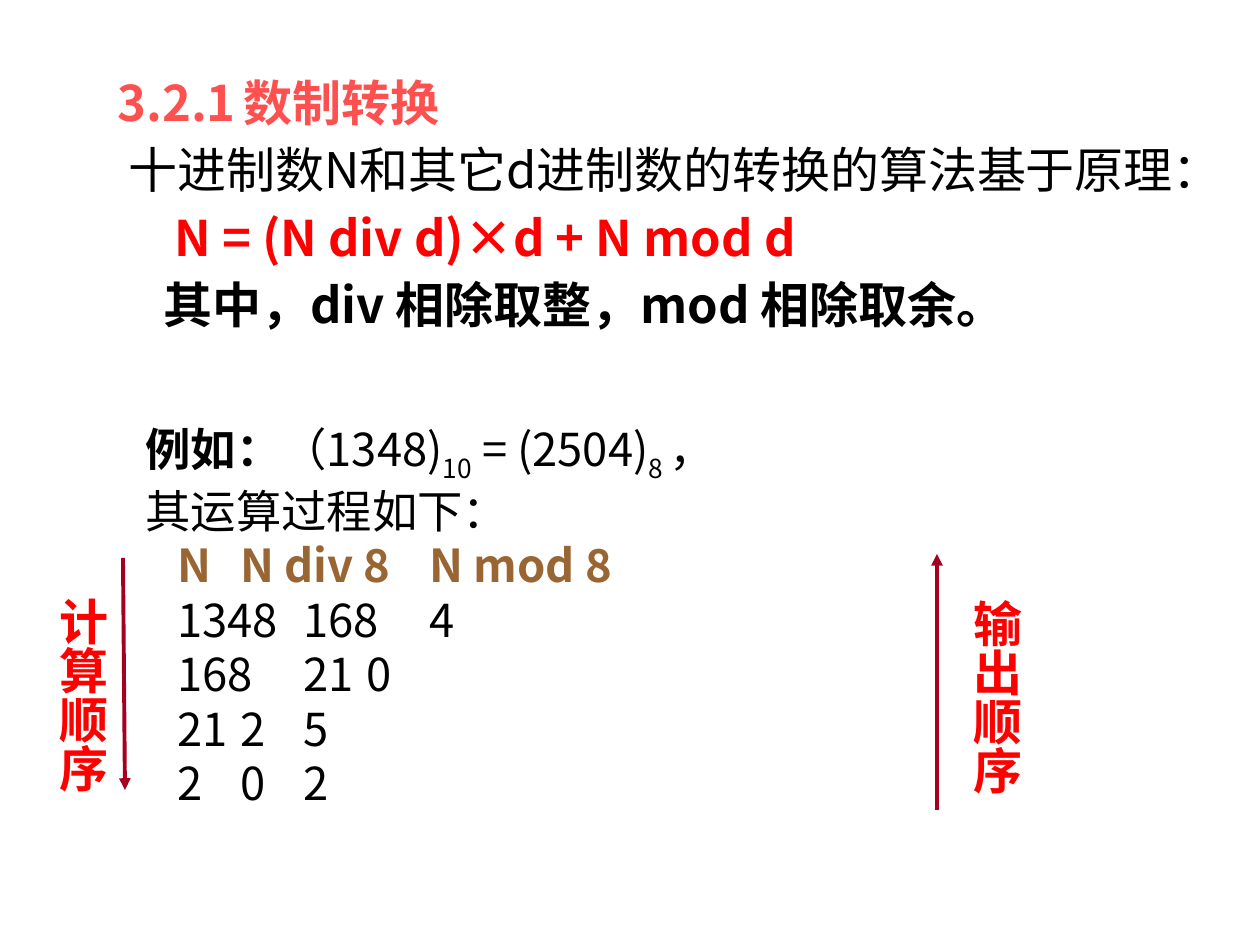
from pptx import Presentation
from pptx.dml.color import RGBColor
from pptx.enum.shapes import MSO_CONNECTOR
from pptx.enum.text import MSO_ANCHOR, MSO_AUTO_SIZE
from pptx.oxml.ns import qn
from pptx.util import Emu, Pt
from lxml import etree

STRAIGHT = MSO_CONNECTOR.STRAIGHT
TOP, MIDDLE, BOTTOM = MSO_ANCHOR.TOP, MSO_ANCHOR.MIDDLE, MSO_ANCHOR.BOTTOM
SHAPE_TO_FIT = MSO_AUTO_SIZE.SHAPE_TO_FIT_TEXT

PX_PER_INCH = 126
FONT = "Noto Sans CJK SC"
BLACK, RED, CORAL, BROWN, CRIMSON = "000000", "FF0000", "FF5050", "996633", "A50021"
HEADING_SIZE, EXAMPLE_SIZE = 28, 25.9

# Each row: cell texts and the tab stop of each cell in px
DIVISION_HEADER = (("N", "N div 8", "N mod 8"), (113, 198, 389))
DIVISION_ROWS = [
    (("1348", "168", "4"), (91, 243, 428)),
    (("168", "21", "0"), (91, 237, 419)),
    (("21", "2", "5"), (91, 232, 409)),
    (("2", "0", "2"), (91, 227, 404)),
]


def px(value):
    return Emu(round(value * 914400 / PX_PER_INCH))


def color(value):
    return RGBColor.from_string(value)


def add_box(slide, left, top, width, height, anchor=TOP, wrap=True):
    shape = slide.shapes.add_textbox(px(left), px(top), px(width), px(height))
    frame = shape.text_frame
    frame.word_wrap = wrap
    frame.vertical_anchor = anchor
    return frame


def add_run(paragraph, text, size=HEADING_SIZE, fill=BLACK, bold=False, baseline=0):
    run = paragraph.add_run()
    run.text = text
    font = run.font
    font.size, font.bold, font.name = Pt(size), bold, FONT
    font.color.rgb = color(fill)
    properties = font._element
    if baseline:
        properties.set("baseline", str(baseline * 1000))
    properties.find(qn("a:latin")).addnext(
        etree.Element(qn("a:ea"), typeface=FONT))


def add_text(frame, text="", margin=0, indent=0, tabs=(), spacing=1.0, **style):
    """Fill the empty first paragraph of the frame, or append a new one."""
    first = frame.paragraphs[0]
    paragraph = frame.add_paragraph() if first.runs else first
    properties = paragraph._p.get_or_add_pPr()
    properties.set("marL", str(px(margin)))
    properties.set("indent", str(px(indent)))
    if tabs:
        tab_list = etree.SubElement(properties, qn("a:tabLst"))
        for stop in tabs:
            etree.SubElement(tab_list, qn("a:tab"), pos=str(px(stop)), algn="l")
    paragraph.line_spacing = spacing
    if text:
        add_run(paragraph, text, **style)
    return paragraph


def add_table_line(frame, cells, stops, **style):
    add_text(frame, "".join("\t" + cell for cell in cells), tabs=stops,
             size=EXAMPLE_SIZE, **style)


def add_arrow(slide, x1, y1, x2, y2):
    arrow = slide.shapes.add_connector(STRAIGHT, px(x1), px(y1), px(x2), px(y2))
    arrow.line.color.rgb = color(CRIMSON)
    arrow.line.width = Pt(2.25)
    etree.SubElement(arrow.line._get_or_add_ln(), qn("a:tailEnd"), type="triangle")
    etree.SubElement(arrow._element.spPr, qn("a:effectLst"))


def add_vertical_label(slide, text, left, top):
    frame = add_box(slide, left, top, 83, 209, wrap=False)
    frame.auto_size = SHAPE_TO_FIT
    frame.margin_left = frame.margin_right = Pt(3.6)
    frame.margin_top = frame.margin_bottom = Pt(7.2)
    frame._txBody.bodyPr.set("vert", "eaVert")
    add_text(frame, text, fill=RED, bold=True)


def add_principle(slide):
    frame = add_box(slide, 105, 55, 1101, 287, anchor=MIDDLE)
    add_text(frame, "3.2.1\t数制转换", tabs=(153,), spacing=1.15,
             fill=CORAL, bold=True)
    add_text(frame, "十进制数N和其它d进制数的转换的算法基于原理：",
             indent=11, spacing=1.15)
    add_text(frame, "N = (N div d)×d + N mod d", margin=57, spacing=1.15,
             fill=RED, bold=True)
    add_text(frame, "其中，div 相除取整，mod 相除取余。", margin=46, spacing=1.15,
             bold=True)


def add_example(slide):
    frame = add_box(slide, 102, 360, 1082, 456, anchor=BOTTOM)
    equation = add_text(frame, "例如：", margin=31, size=EXAMPLE_SIZE, bold=True)
    for text, baseline in (("（1348)", 0), ("10", -25), (" = (2504)", 0),
                           ("8 ", -25), ("，", 0)):
        add_run(equation, text, size=EXAMPLE_SIZE, baseline=baseline)
    add_text(frame, "其运算过程如下：", margin=31, size=EXAMPLE_SIZE)
    add_table_line(frame, *DIVISION_HEADER, fill=BROWN, bold=True)
    for cells, stops in DIVISION_ROWS:
        add_table_line(frame, cells, stops)


def main():
    presentation = Presentation()
    presentation.slide_width, presentation.slide_height = px(1260), px(945)
    slide = presentation.slides.add_slide(presentation.slide_layouts[6])
    add_principle(slide)
    add_example(slide)
    add_arrow(slide, 123, 558, 125, 790)
    add_arrow(slide, 937, 810, 937, 554)
    add_vertical_label(slide, "计算顺序", 35, 585)
    add_vertical_label(slide, "输出顺序", 949, 587)
    presentation.save("out.pptx")


if __name__ == "__main__":
    main()
